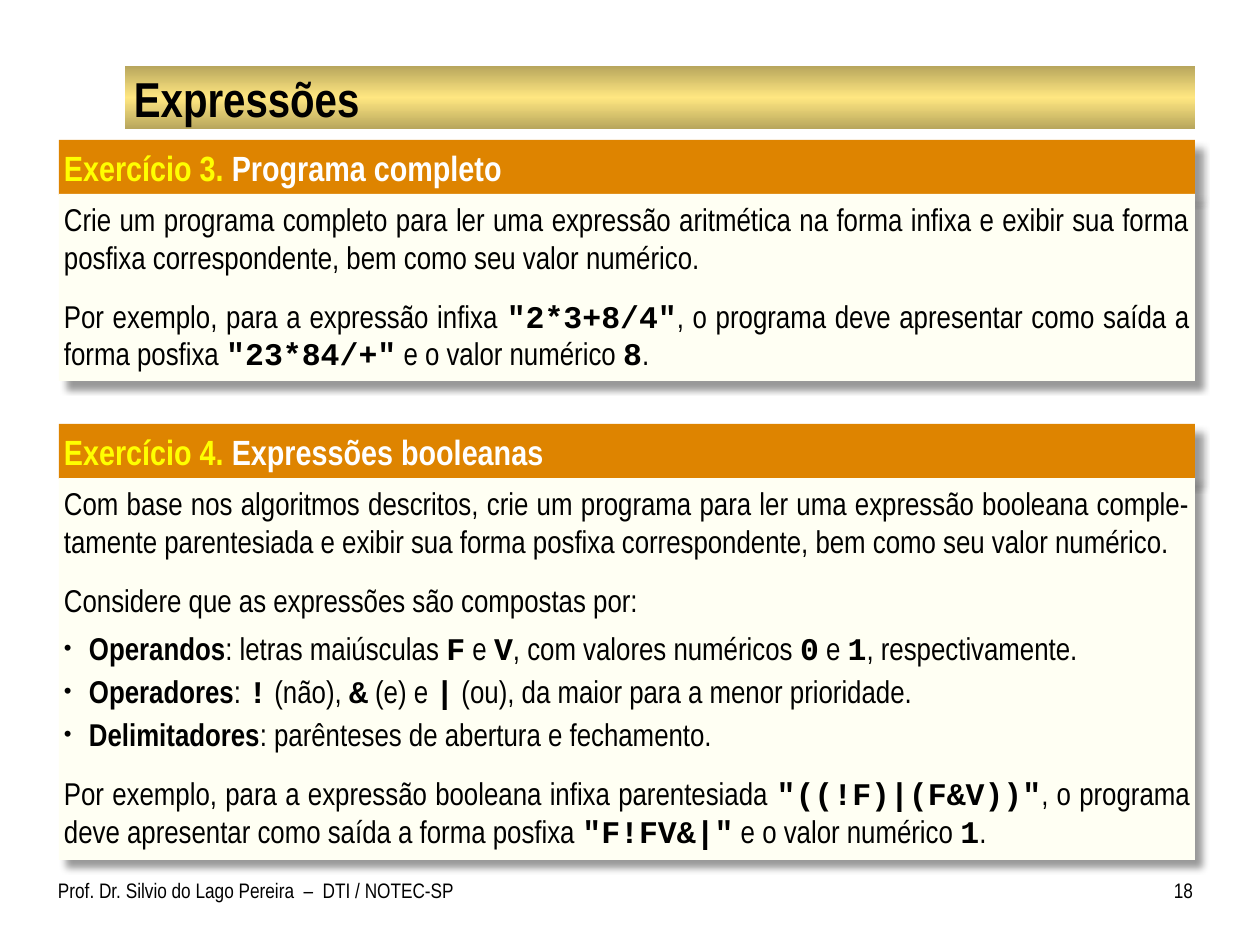
from dataclasses import dataclass

from lxml.etree import SubElement
from pptx import Presentation
from pptx.dml.color import RGBColor
from pptx.enum.shapes import MSO_SHAPE as Shape
from pptx.enum.text import MSO_ANCHOR as Anchor, MSO_AUTO_SIZE as AutoSize, PP_ALIGN as Align
from pptx.oxml import parse_xml
from pptx.oxml.ns import nsdecls, qn
from pptx.util import Pt

PIXEL = 914400 / 126
LEFT, WIDTH = 59, 1136
HEADING_HEIGHT, BODY_OFFSET = 55, 54


@dataclass(frozen=True)
class Theme:
    text: str = "000000"
    heading_fill: str = "DE8400"
    heading_number: str = "FFFF00"
    heading_text: str = "FFFFFF"
    body_fill: str = "FFFFF3"
    band_edge: str = "B8A65D"
    band_middle: str = "FFE781"
    font: str = "Arial Narrow"
    code_font: str = "Courier New"
    title_size: int = 28
    heading_size: int = 20
    body_size: int = 18
    footer_size: int = 12


def emu(pixels):
    return round(pixels * PIXEL)


def add_run(paragraph, text, *, font, size, color, bold=False):
    run = paragraph.add_run()
    run.text = text
    run.font.name = font
    run.font.size = Pt(size)
    run.font.bold = bold
    run.font.color.rgb = RGBColor.from_string(color)


def add_bullet(paragraph, indent):
    properties = paragraph._p.get_or_add_pPr()
    properties.set("marL", str(emu(indent)))
    properties.set("indent", str(-emu(indent)))
    SubElement(properties, qn("a:buSzPct"), val="70000")
    SubElement(properties, qn("a:buFont"), typeface="Arial")
    SubElement(properties, qn("a:buChar"), char="•")


class SlideBuilder:
    def __init__(self, presentation, theme):
        self.theme = theme
        self.slide = presentation.slides.add_slide(presentation.slide_layouts[5])

    def frame(self, shape, insets, anchor=Anchor.TOP):
        frame = shape.text_frame
        frame.word_wrap = True
        frame.vertical_anchor = anchor
        (frame.margin_left, frame.margin_top,
         frame.margin_right, frame.margin_bottom) = map(emu, insets)
        return frame

    def rectangle(self, left, top, width, height, fill=None):
        shape = self.slide.shapes.add_shape(
            Shape.RECTANGLE, *map(emu, (left, top, width, height)))
        shape.shadow.inherit = False
        shape.line.fill.background()
        if fill:
            shape.fill.solid()
            shape.fill.fore_color.rgb = RGBColor.from_string(fill)
        return shape

    def band(self, *box):
        shape = self.rectangle(*box)
        shape.fill.gradient()
        stops = shape._element.spPr.find(qn("a:gradFill")).find(qn("a:gsLst"))
        for stop in list(stops):
            stops.remove(stop)
        edge, middle = self.theme.band_edge, self.theme.band_middle
        for position, color in ((0, edge), (50000, middle), (100000, edge)):
            stop = SubElement(stops, qn("a:gs"), pos=str(position))
            SubElement(stop, qn("a:srgbClr"), val=color)
        shape.fill.gradient_angle = 90

    def title(self, text, *box):
        shape = self.slide.shapes.title
        shape.left, shape.top, shape.width, shape.height = map(emu, box)
        # Bring the title in front of its band
        self.slide.shapes._spTree.append(shape._element)
        paragraph = self.frame(shape, (8, 1, 8, 1), Anchor.MIDDLE).paragraphs[0]
        paragraph.alignment = Align.LEFT
        add_run(paragraph, text, font=self.theme.font, size=self.theme.title_size,
                color=self.theme.text, bold=True)

    def panel(self, top, height, fill, insets):
        shape = self.rectangle(LEFT, top, WIDTH, height, fill)
        effects = shape._element.spPr.find(qn("a:effectLst"))
        effects.append(parse_xml(
            f'<a:outerShdw {nsdecls("a")} blurRad="{Pt(4)}" dist="{Pt(6)}" '
            'dir="2700000" algn="tl" rotWithShape="0"><a:srgbClr val="000000">'
            '<a:alpha val="40000"/></a:srgbClr></a:outerShdw>'))
        frame = self.frame(shape, insets)
        frame.auto_size = AutoSize.SHAPE_TO_FIT_TEXT
        return frame

    def exercise(self, top, body_height, number, name, paragraphs):
        theme = self.theme
        heading = self.panel(top, HEADING_HEIGHT, theme.heading_fill, (5, 6, 13, 6))
        heading.paragraphs[0].alignment = Align.LEFT
        for text, color in ((f"Exercício {number}.", theme.heading_number),
                            (f" {name}", theme.heading_text)):
            add_run(heading.paragraphs[0], text, font=theme.font,
                    size=theme.heading_size, color=color, bold=True)
        body = self.panel(top + BODY_OFFSET, body_height, theme.body_fill, (5, 6, 5, 6))
        for index, (space, term, text) in enumerate(paragraphs):
            paragraph = body.add_paragraph() if index else body.paragraphs[0]
            self.body_paragraph(paragraph, space, term, text)

    def body_paragraph(self, paragraph, space, term, text):
        """Text between backticks is set as code; a term makes a bullet."""
        theme = self.theme
        paragraph.alignment = Align.JUSTIFY
        paragraph.space_before = Pt(space)
        style = {"size": theme.body_size, "color": theme.text}
        if term:
            add_bullet(paragraph, 25)
            add_run(paragraph, term, font=theme.font, bold=True, **style)
        for index, part in enumerate(text.split("`")):
            is_code = index % 2 == 1
            add_run(paragraph, part, font=theme.code_font if is_code else theme.font,
                    bold=is_code, **style)

    def footer(self, text, left, width, insets, alignment):
        box = self.slide.shapes.add_textbox(*map(emu, (left, 872, width, 53)))
        paragraph = self.frame(box, insets).paragraphs[0]
        paragraph.alignment = alignment
        add_run(paragraph, text, font=self.theme.font, size=self.theme.footer_size,
                color=self.theme.text)


EXERCISES = [
    (140, 187, 3, "Programa completo", [
        (6, "", "Crie um programa completo para ler uma expressão aritmética na forma "
                "infixa e exibir sua forma posfixa correspondente, bem como seu valor "
                "numérico."),
        (12, "", 'Por exemplo, para a expressão infixa `"2*3+8/4"`, o programa deve '
                 'apresentar como saída a forma posfixa `"23*84/+"` e o valor numérico '
                 '`8`.'),
    ]),
    (424, 382, 4, "Expressões booleanas", [
        (6, "", "Com base nos algoritmos descritos, crie um programa para ler uma "
                "expressão booleana comple-tamente parentesiada e exibir sua forma "
                "posfixa correspondente, bem como seu valor numérico."),
        (12, "", "Considere que as expressões são compostas por:"),
        (6, "Operandos", ": letras maiúsculas `F` e `V`, com valores numéricos `0` e `1`, "
                         "respectivamente."),
        (3, "Operadores", ": `!` (não), `&` (e) e `|` (ou), da maior para a menor "
                          "prioridade."),
        (3, "Delimitadores", ": parênteses de abertura e fechamento."),
        (12, "", 'Por exemplo, para a expressão booleana infixa parentesiada '
                 '`"((!F)|(F&V))"`, o programa deve apresentar como saída a forma '
                 'posfixa `"F!FV&|"` e o valor numérico `1`.'),
    ]),
]

presentation = Presentation()
presentation.slide_width, presentation.slide_height = emu(1260), emu(945)
builder = SlideBuilder(presentation, Theme())

# Title on its golden band
builder.band(125, 66, 1070, 63)
builder.title("Expressões", 126, 68, 1067, 59)

# Exercises
for exercise in EXERCISES:
    builder.exercise(*exercise)

# Footer
builder.footer("Prof. Dr. Silvio do Lago Pereira  –  DTI / NOTEC-SP", 58, 412,
               (0, 6, 13, 6), Align.LEFT)
builder.footer("18", 1144, 49, (13, 6, 0, 6), Align.RIGHT)

presentation.save("out.pptx")
